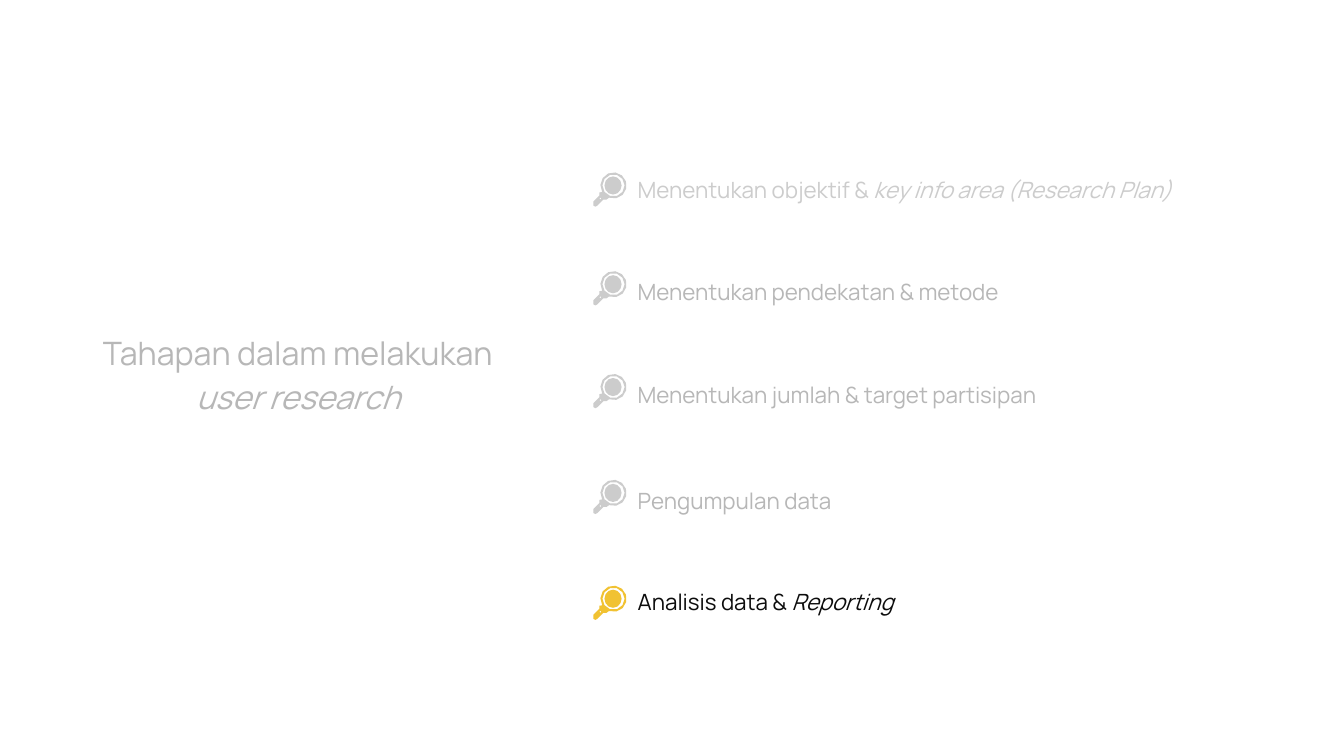
from math import cos, radians, sin

from pptx import Presentation
from pptx.dml.color import RGBColor
from pptx.enum.shapes import MSO_SHAPE as Shape
from pptx.enum.text import MSO_AUTO_SIZE as AutoSize, PP_ALIGN as Align
from pptx.util import Inches, Pt

FONT = "Manrope"
GREY = RGBColor(0xB7, 0xB7, 0xB7)
LIGHT_GREY = RGBColor(0xCC, 0xCC, 0xCC)
BLACK = RGBColor(0x0C, 0x0C, 0x0C)
YELLOW = RGBColor(0xF1, 0xC2, 0x32)

STEPS = [
    (1.64, 1.71, 5.47, LIGHT_GREY, LIGHT_GREY,
     [("Menentukan objektif & ", False), ("key info area (Research Plan)", True)]),
    (2.65, 2.69, 5.31, GREY, LIGHT_GREY, [("Menentukan pendekatan & metode", False)]),
    (3.67, 3.71, 5.31, GREY, LIGHT_GREY, [("Menentukan jumlah & target partisipan", False)]),
    (4.72, 4.76, 5.31, GREY, LIGHT_GREY, [("Pengumpulan data", False)]),
    (5.73, 5.81, 5.31, BLACK, YELLOW, [("Analisis data & ", False), ("Reporting", True)]),
]

LENS_CENTRE = (0.21, 0.13)
HANDLE = [(0.14, 0.27), (0.11, 0.27), (0.05, 0.33), (0.03, 0.34),
          (0.01, 0.33), (0.01, 0.29), (0.07, 0.23), (0.07, 0.2)]
NOTCH = [(0.08, 0.25), (0.09, 0.26), (0.08, 0.27), (0.07, 0.26)]


def arc(radius, start, end, step):
    centre_x, centre_y = LENS_CENTRE
    return [(centre_x + radius * cos(radians(angle)), centre_y + radius * sin(radians(angle)))
            for angle in range(start, end, step)]


def add_text(slide, box, runs, size, color, align=Align.LEFT):
    frame = slide.shapes.add_textbox(*map(Inches, box)).text_frame
    margins = {f"margin_{side}": Inches(0.07) for side in ("left", "top", "right", "bottom")}
    layout = {"word_wrap": True, "auto_size": AutoSize.SHAPE_TO_FIT_TEXT, **margins}
    for name, value in layout.items():
        setattr(frame, name, value)
    paragraph = frame.paragraphs[0]
    paragraph.alignment = align
    paragraph.line_spacing = 1.15
    for words, italic in runs:
        run = paragraph.add_run()
        run.text = words
        style = {"name": FONT, "size": Pt(size), "italic": italic}
        for name, value in style.items():
            setattr(run.font, name, value)
        run.font.color.rgb = color


def add_magnifier(slide, left, top, color):
    def place(points):
        return [(Inches(left + x), Inches(top + y)) for x, y in points]

    magnifier = slide.shapes.add_group_shape().shapes
    outline, *holes = [place(points) for points in
                       (arc(0.13, 150, 471, 32) + HANDLE, arc(0.11, 0, 360, 36), NOTCH)]
    builder = magnifier.build_freeform(*outline[0])
    builder.add_line_segments(outline[1:], close=True)
    for hole in holes:
        builder.move_to(*hole[0])
        builder.add_line_segments(hole[1:], close=True)
    frame = builder.convert_to_shape()
    lens = magnifier.add_shape(Shape.OVAL, *map(Inches, (left + 0.12, top + 0.04, 0.17, 0.18)))
    for part in (frame, lens):
        part.shadow.inherit = False
        part.fill.solid()
        part.fill.fore_color.rgb = color
        part.line.fill.background()


def add_heading(slide, box):
    runs = [("Tahapan dalam melakukan ", False), ("user research", True)]
    add_text(slide, box, runs, 23, GREY, Align.CENTER)


def add_steps(slide, left):
    for text_top, icon_top, width, text_color, icon_color, runs in STEPS:
        add_text(slide, (left + 0.38, text_top, width, 0.44), runs, 16, text_color)
    for text_top, icon_top, width, text_color, icon_color, runs in STEPS:
        add_magnifier(slide, left, icon_top, icon_color)


def main():
    deck = Presentation()
    deck.slide_width, deck.slide_height = Inches(13.34), Inches(7.5)
    slide = deck.slides.add_slide(deck.slide_layouts[6])
    add_heading(slide, (0.88, 3.18, 4.16, 1.01))
    add_steps(slide, 5.88)
    deck.save("out.pptx")


if __name__ == "__main__":
    main()
